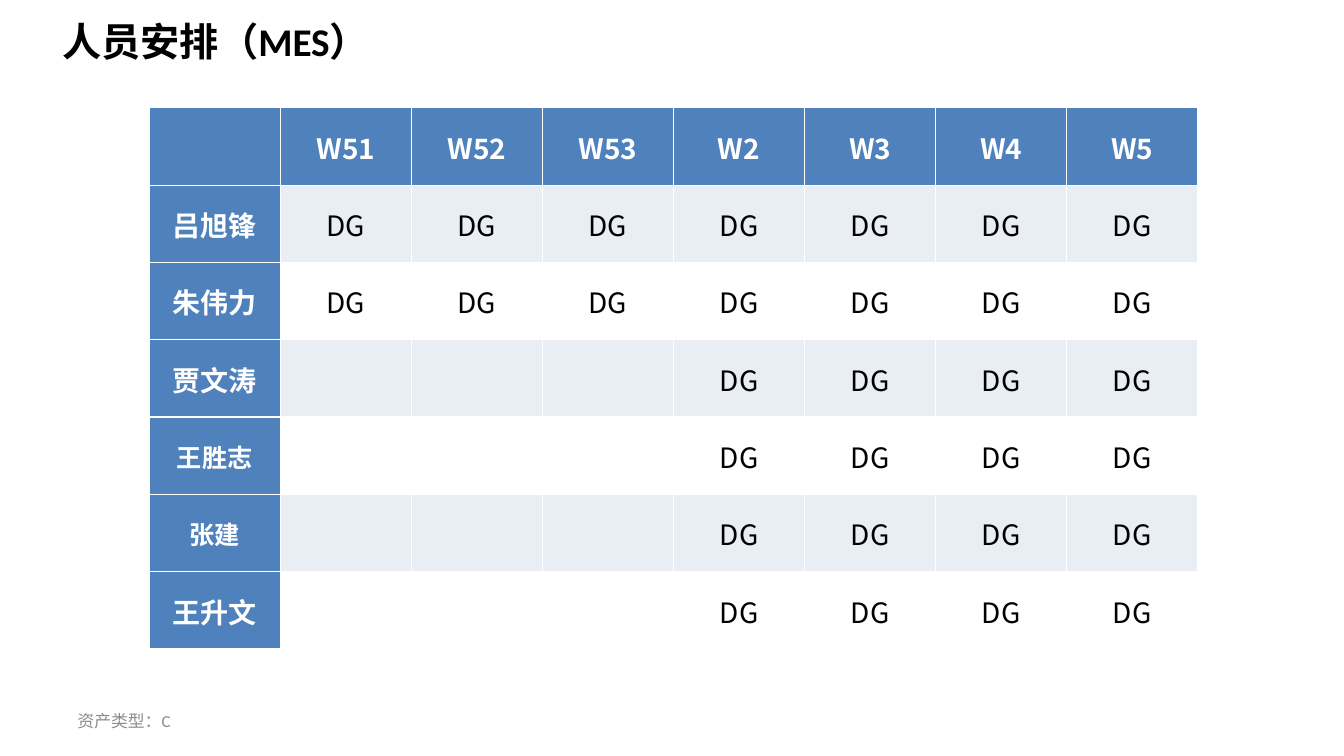
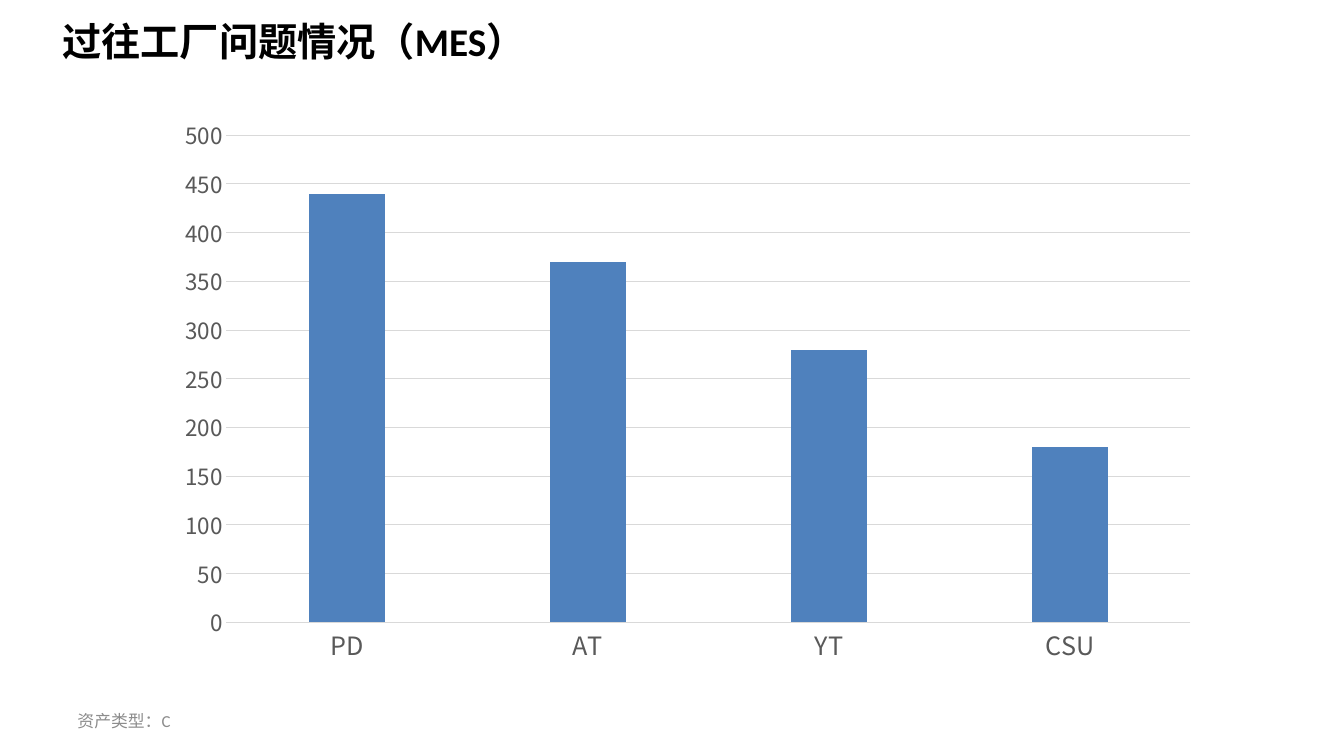
from lxml import etree
from pptx import Presentation
from pptx.chart.data import CategoryChartData
from pptx.dml.color import RGBColor
from pptx.enum.chart import XL_CHART_TYPE, XL_TICK_MARK
from pptx.enum.text import MSO_ANCHOR, MSO_AUTO_SIZE, PP_ALIGN
from pptx.oxml.ns import qn
from pptx.util import Inches, Pt

COLUMN = XL_CHART_TYPE.COLUMN_CLUSTERED
NO_TICK = XL_TICK_MARK.NONE
TOP, MIDDLE = MSO_ANCHOR.TOP, MSO_ANCHOR.MIDDLE
LEFT, CENTER = PP_ALIGN.LEFT, PP_ALIGN.CENTER
NO_FIT = MSO_AUTO_SIZE.NONE

COLORS = {"blue": "4F81BD", "band": "E9EDF4", "white": "FFFFFF", "black": "000000",
          "footer": "8C8C8C", "label": "595959", "grid": "D9D9D9"}
LATIN, CJK = "Calibri", "Noto Sans CJK SC"
TITLE = dict(size=Pt(28), bold=True, name=LATIN)
FOOTER = dict(size=Pt(12), bold=False, name=LATIN)
HEAD = dict(size=Pt(20), bold=True, name=CJK)
NAME_SMALL = dict(size=Pt(18), bold=True, name=LATIN)
BODY = dict(size=Pt(20), bold=False, name=CJK)

FOOTER_TEXT = "资产类型：C"
STAFF_TITLE = "人员安排（MES）"
WEEKS = ["W51", "W52", "W53", "W2", "W3", "W4", "W5"]
SITE = "DG"
STAFF = [
    ("吕旭锋", "W51", HEAD),
    ("朱伟力", "W51", HEAD),
    ("贾文涛", "W2", HEAD),
    ("王胜志", "W2", NAME_SMALL),
    ("张建", "W2", NAME_SMALL),
    ("王升文", "W2", HEAD),
]
ISSUES_TITLE = "过往工厂问题情况（MES）"
ISSUES = {"PD": 440, "AT": 370, "YT": 280, "CSU": 180}
PLOT = {"x": 0.067, "y": 0.053, "w": 0.91, "h": 0.848}


def rgb(name):
    return RGBColor.from_string(COLORS[name])


def style(font, color, fmt):
    for key, value in fmt.items():
        setattr(font, key, value)
    font.color.rgb = rgb(color)


def write(tf, text, color, fmt, align):
    p = tf.paragraphs[0]
    p.alignment = align
    r = p.add_run()
    r.text = text
    style(r.font, color, fmt)
    ea = etree.SubElement(r.font._element, qn("a:ea"))
    ea.set("typeface", CJK)
    r.font._element.find(qn("a:latin")).addnext(ea)


def place(shape, left, top, width, height):
    shape.left, shape.top = Inches(left), Inches(top)
    shape.width, shape.height = Inches(width), Inches(height)


def add_slide(prs, title):
    s = prs.slides.add_slide(prs.slide_layouts[5])
    place(s.shapes.title, 0.52, 0.12, 9.98, 0.57)
    footer = s.shapes.add_textbox(Inches(0.67), Inches(6.95), Inches(3.11), Inches(0.4))
    for sp, text, color, fmt, anchor in (
        (s.shapes.title, title, "black", TITLE, TOP),
        (footer, FOOTER_TEXT, "footer", FOOTER, MIDDLE),
    ):
        tf = sp.text_frame
        tf.word_wrap, tf.auto_size, tf.vertical_anchor = True, NO_FIT, anchor
        write(tf, text, color, fmt, LEFT)
    return s


def fill_cell(cell, text, fill, color, fmt):
    cell.fill.solid()
    cell.fill.fore_color.rgb = rgb(fill)
    cell.vertical_anchor = MIDDLE
    cell.margin_left = cell.margin_right = cell.margin_top = Inches(0.01)
    cell.margin_bottom = 0
    if text:
        write(cell.text_frame, text, color, fmt, CENTER)


def add_staff_table(s):
    table = s.shapes.add_table(len(STAFF) + 1, len(WEEKS) + 1, Inches(1.48), Inches(1.07),
                               Inches(10.37), Inches(5.37)).table
    table.first_row = table.first_col = True
    table.horz_banding = False
    for col in table.columns:
        col.width = Inches(1.3)
    for row in table.rows:
        row.height = Inches(5.37 / len(table.rows))
    for c, week in enumerate([""] + WEEKS):
        fill_cell(table.cell(0, c), week, "blue", "white", HEAD)
    for r, (name, start, fmt) in enumerate(STAFF, 1):
        fill_cell(table.cell(r, 0), name, "blue", "white", fmt)
        for c in range(len(WEEKS)):
            text = SITE if c >= WEEKS.index(start) else ""
            fill_cell(table.cell(r, c + 1), text, "band" if r % 2 else "white", "black", BODY)


def set_plot_area(chart):
    plot_area = chart._chartSpace.chart.plotArea
    for old in plot_area.findall(qn("c:layout")):
        plot_area.remove(old)
    layout = etree.Element(qn("c:layout"))
    manual = etree.SubElement(layout, qn("c:manualLayout"))
    settings = {"layoutTarget": "inner", "xMode": "edge", "yMode": "edge", **PLOT}
    for tag, value in settings.items():
        etree.SubElement(manual, qn("c:" + tag)).set("val", str(value))
    plot_area.insert(0, layout)


def add_issue_chart(s):
    data = CategoryChartData()
    data.categories = list(ISSUES)
    data.add_series("Series 1", list(ISSUES.values()))
    chart = s.shapes.add_chart(COLUMN, Inches(1.54), Inches(1.04), Inches(10.51),
                               Inches(5.7), data).chart
    chart.has_title = chart.has_legend = False
    style(chart.font, "black", dict(size=Pt(10), name=LATIN))
    plot = chart.plots[0]
    plot.gap_width, plot.overlap, plot.vary_by_categories = 219, -27, False
    bars = plot.series[0].format.fill
    bars.solid()
    bars.fore_color.rgb = rgb("blue")
    cat, val = chart.category_axis, chart.value_axis
    for axis, size in ((cat, 18), (val, 16)):
        axis.major_tick_mark = axis.minor_tick_mark = NO_TICK
        style(axis.tick_labels.font, "label", dict(size=Pt(size), bold=False, name=CJK))
    val.minimum_scale, val.maximum_scale, val.major_unit = 0, 500, 50
    val.has_major_gridlines = True
    val.format.line.fill.background()
    for line in (cat.format.line, val.major_gridlines.format.line):
        line.color.rgb = rgb("grid")
        line.width = Pt(0.75)
    set_plot_area(chart)


def main():
    prs = Presentation()
    prs.slide_width, prs.slide_height = Inches(13.33), Inches(7.5)
    add_staff_table(add_slide(prs, STAFF_TITLE))
    add_issue_chart(add_slide(prs, ISSUES_TITLE))
    prs.save("out.pptx")


if __name__ == "__main__":
    main()
